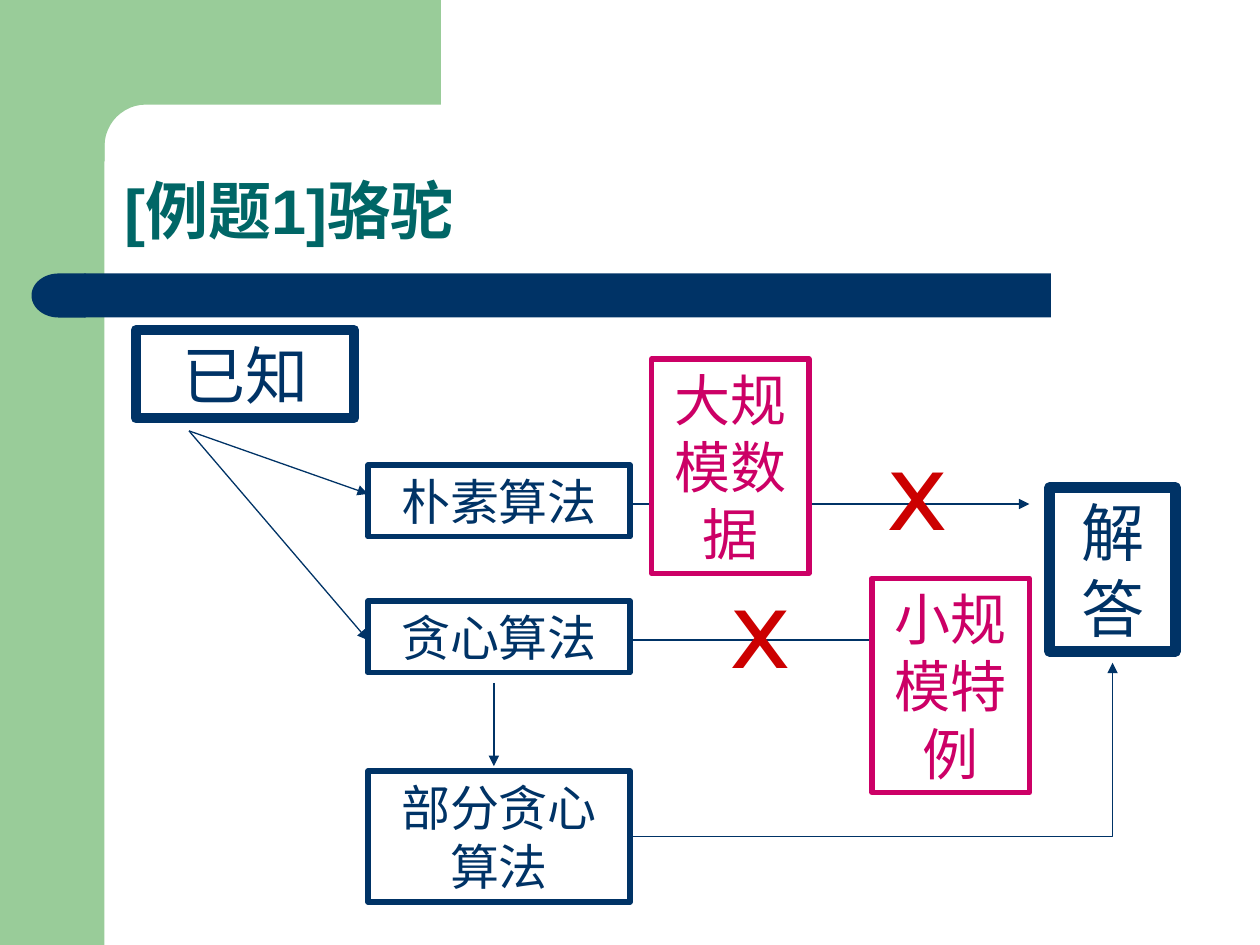
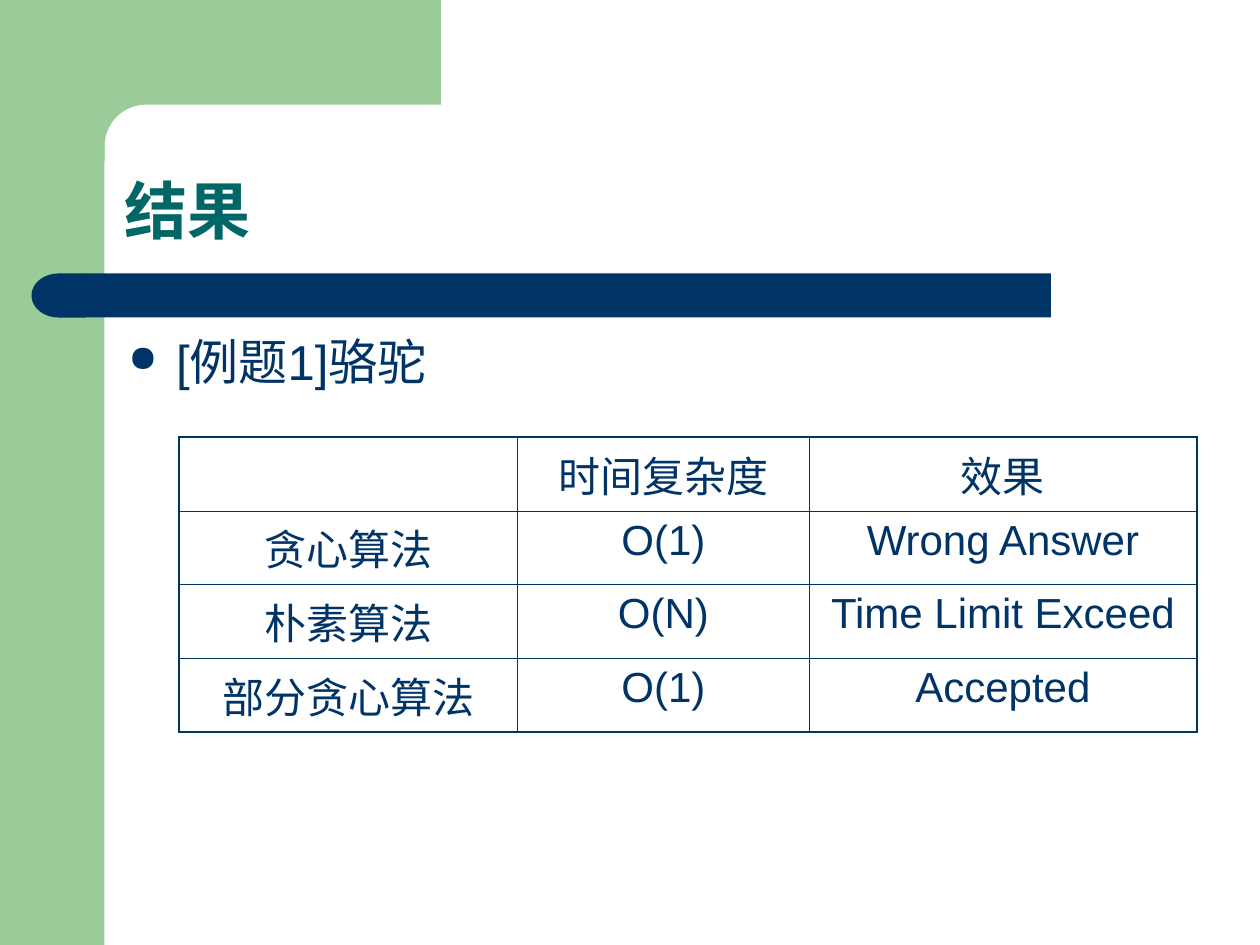
from collections import namedtuple
from dataclasses import dataclass
from math import cos, pi, sin

from lxml import etree
from pptx import Presentation
from pptx import util as u
from pptx.dml.color import RGBColor
from pptx.enum import shapes, text
from pptx.oxml.ns import qn


@dataclass(frozen=True)
class Theme:
    navy: str = "003366"
    green: str = "99CC99"
    teal: str = "006666"
    pink: str = "CC0066"
    red: str = "CC0000"
    white: str = "FFFFFF"
    head: str = "Arial"
    body: str = "DejaVu Sans"
    title: int = 36
    point: int = 28
    cell: int = 24
    end: int = 36
    step: int = 28
    flaw: int = 32
    cross: int = 60
    thin: float = 0.75
    inner: float = 0.45
    outer: float = 1.08


T = Theme()
KIND = shapes.MSO_SHAPE
ALIGN = text.PP_ALIGN
MID = text.MSO_ANCHOR.MIDDLE


class Box(namedtuple("Box", "x y w h")):
    def at(self, dx, dy, w, h):
        """Return a box placed from this one's top left corner."""
        return Box(self.x + dx, self.y + dy, w, h)

    def emu(self):
        return [u.Inches(v) for v in self]


PAGE = Box(0, 0, 10, 7.5)


def rgb(code):
    return RGBColor.from_string(code)


def node(parent, tag, **attrs):
    item = etree.SubElement(parent, qn(tag))
    for key, val in attrs.items():
        item.set(key, str(val))
    return item


def write(frame, words, size, color=T.navy, font=T.body, bold=False,
          align=ALIGN.CENTER, anchor=MID, space=None, bullet=None):
    frame.word_wrap = True
    frame.vertical_anchor = anchor
    para = frame.paragraphs[0]
    if bullet:
        props = para._p.get_or_add_pPr()
        indent = u.Inches(0.38)
        props.set("marL", str(indent))
        props.set("indent", str(-indent))
        node(node(props, "a:buClr"), "a:srgbClr", val=color)
        node(props, "a:buSzPct", val=75000)
        node(props, "a:buChar", char=bullet)
    para.alignment = align
    para.line_spacing = space
    run = para.add_run()
    run.text = words
    run.font.size, run.font.bold, run.font.name = u.Pt(size), bold, font
    run.font.color.rgb = rgb(color)


def label(slide, box, words, size, **form):
    write(slide.shapes.add_textbox(*box.emu()).text_frame, words, size, **form)


def paint(shape, fill=None, line=None, width=0):
    shape.shadow.inherit = False
    if fill:
        shape.fill.solid()
        shape.fill.fore_color.rgb = rgb(fill)
    else:
        shape.fill.background()
    if line:
        shape.line.color.rgb = rgb(line)
        shape.line.width = u.Pt(width)
    else:
        shape.line.fill.background()
    return shape


def block(slide, box, kind=KIND.RECTANGLE, **look):
    return paint(slide.shapes.add_shape(kind, *box.emu()), **look)


def frame(slide, box, words, size, width, color=T.navy, fill=None):
    shape = block(slide, box, fill=fill, line=color, width=width)
    write(shape.text_frame, words, size, color=color)


def arrow(slide, box, start, stop, bent=False):
    """Draw an arrow between two points measured from the box's corner."""
    ends = [u.Inches(v) for x, y in (start, stop) for v in (box.x + x, box.y + y)]
    kind = shapes.MSO_CONNECTOR.ELBOW if bent else shapes.MSO_CONNECTOR.STRAIGHT
    link = slide.shapes.add_connector(kind, *ends)
    link.line.color.rgb = rgb(T.navy)
    link.line.width = u.Pt(T.thin)
    props = link.element.spPr
    if bent:
        props.find(qn("a:prstGeom")).set("prst", "bentConnector2")
    node(props.find(qn("a:ln")), "a:tailEnd", type="triangle")
    node(props, "a:effectLst")


def corner(slide, box, band=0.83, bend=0.33, left=0.33):
    """Draw the top band, whose lower left edge bends into the side band."""
    mid, steps = left + bend, 12
    arc = [(mid - bend * sin(a), band + bend - bend * cos(a))
           for a in (pi / 2 * i / steps for i in range(steps + 1))]
    dots = [(box.w, 0), (box.w, band), *arc, (left, box.h), (0, box.h), (0, 0)]
    dots = [(u.Inches(box.x + x), u.Inches(box.y + y)) for x, y in dots]
    path = slide.shapes.build_freeform(*dots[0])
    path.add_line_segments(dots[1:], close=True)
    paint(path.convert_to_shape(), fill=T.green)


def base(deck, title, box=PAGE):
    """Add a slide with the shared bands and its title."""
    slide = deck.slides.add_slide(deck.slide_layouts[6])
    block(slide, box.at(0, 0, 0.83, box.h), fill=T.green)
    corner(slide, box.at(0.5, 0, 3, 1.28))
    block(slide, box.at(0.67, 2.17, 7.67, 0.35), fill=T.navy)
    cap = block(slide, box.at(0.25, 2.17, 0.43, 0.35), KIND.FLOWCHART_DELAY, fill=T.navy)
    cap.rotation = 180
    label(slide, box.at(0.89, 0.89, 8.54, 1.13), title, T.title, color=T.teal,
          font=T.head, bold=True, align=ALIGN.LEFT,
          anchor=text.MSO_ANCHOR.BOTTOM, space=0.9)
    return slide


def flow(slide, box):
    root = (0.5, 0.92)
    for start, stop in ((root, (1.92, 1.42)), (root, (1.92, 2.58)),
                        ((4, 1.5), (7.17, 1.5)), ((4, 2.58), (7.17, 2.58)),
                        ((2.92, 2.92), (2.92, 3.58))):
        arrow(slide, box, start, stop)
    arrow(slide, box, (4.02, 4.14), (7.83, 2.76), bent=True)

    for words, *spot in (("已知", 0.08, 0.12, 1.73, 0.7),
                         ("解答", 7.33, 1.37, 1, 1.3)):
        frame(slide, box.at(*spot), words, T.end, 6)
    for words, y, h in (("朴素算法", 1.19, 0.57), ("贪心算法", 2.27, 0.57),
                        ("部分贪心算法", 3.62, 1.04)):
        frame(slide, box.at(1.92, y, 2.08, h), words, T.step, 3)
    for words, x, y in (("大规模数据", 4.17, 0.35), ("小规模特例", 5.92, 2.09)):
        frame(slide, box.at(x, y, 1.25, 1.7), words, T.flaw, 3, T.pink, T.white)
    for x, y in ((5.42, 0.83), (4.17, 1.92)):
        label(slide, box.at(x, y, 1.73, 1.1), "x", T.cross, color=T.red)


def edge(cell, **widths):
    props = cell._tc.get_or_add_tcPr()
    for side, width in widths.items():
        line = node(props, f"a:ln{side}", w=u.Pt(width))
        node(node(line, "a:solidFill"), "a:srgbClr", val=T.navy)


def grid(slide, box, rows, cols):
    """Draw a table with a heavier outline; cols holds the column widths."""
    table = slide.shapes.add_table(len(rows), len(cols), *box.emu()).table
    table.first_row = table.horz_banding = False
    for col, width in zip(table.columns, cols):
        col.width = u.Inches(width)

    def rule(rim):
        return T.outer if rim else T.inner

    for r, row in enumerate(rows):
        table.rows[r].height = u.Inches(box.h / len(rows))
        for c, words in enumerate(row):
            cell = table.cell(r, c)
            edge(cell, L=rule(c == 0), R=rule(c == len(cols) - 1),
                 T=rule(r == 0), B=rule(r == len(rows) - 1))
            cell.fill.background()
            if words:
                write(cell.text_frame, words, T.cell, font=T.head, anchor=None)


def result(slide, box):
    label(slide, box.at(0, 0, box.w, 0.7), "[例题1]骆驼", T.point, font=T.head,
          align=ALIGN.LEFT, anchor=text.MSO_ANCHOR.TOP, bullet="●")
    rows = (("", "时间复杂度", "效果"),
            ("贪心算法", "O(1)", "Wrong Answer"),
            ("朴素算法", "O(N)", "Time Limit Exceed"),
            ("部分贪心算法", "O(1)", "Accepted"))
    grid(slide, box.at(0.5, 0.89, 8.08, 2.34), rows, (2.69, 2.31, 3.08))


def main():
    deck = Presentation()
    deck.slide_width, deck.slide_height = u.Inches(PAGE.w), u.Inches(PAGE.h)
    flow(base(deck, "[例题1]骆驼"), PAGE.at(1, 2.5, 8.5, 4.75))
    result(base(deck, "结果"), PAGE.at(0.92, 2.58, 8.41, 4.07))
    deck.save("out.pptx")


if __name__ == "__main__":
    main()
